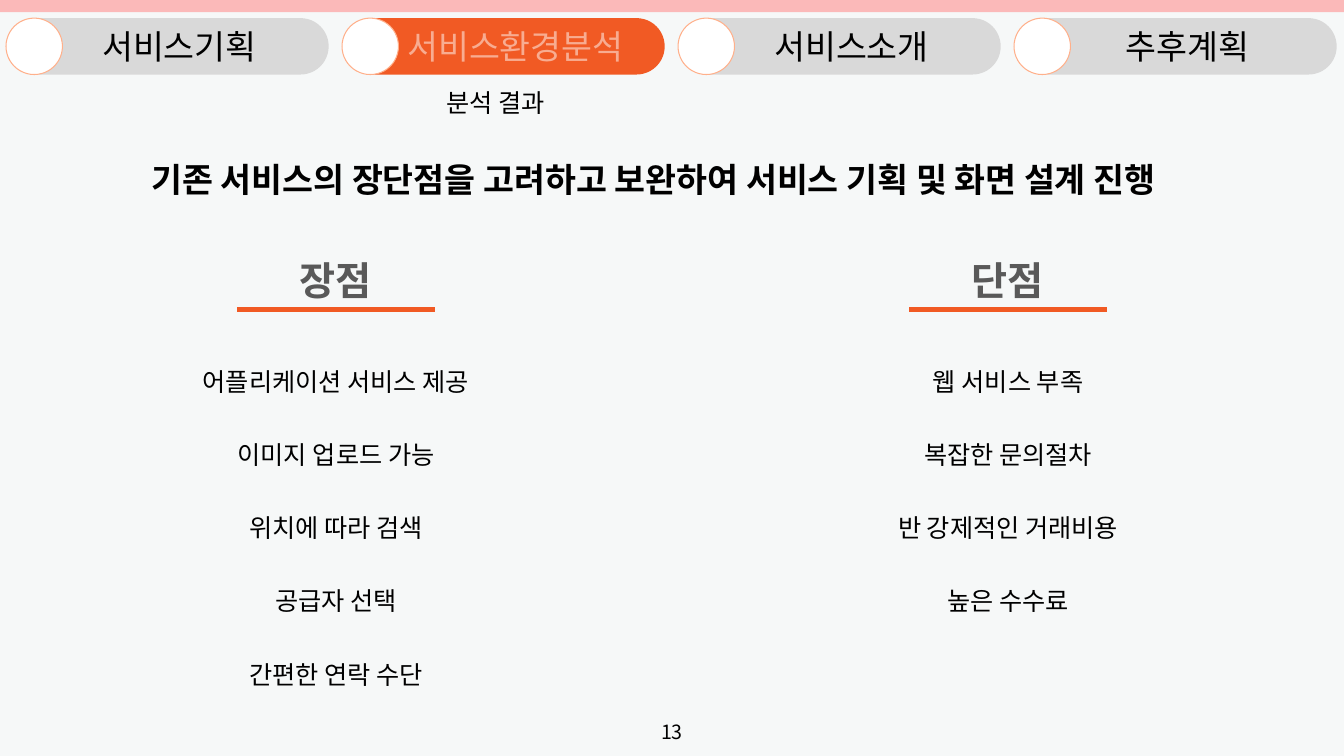
import pptx
import pptx.util
import pptx.dml.color
import pptx.enum.shapes
import pptx.enum.text
import lxml.etree

Inches, Pt = pptx.util.Inches, pptx.util.Pt
SHAPE = pptx.enum.shapes.MSO_SHAPE
ALIGN = pptx.enum.text.PP_ALIGN
ANCHOR = pptx.enum.text.MSO_ANCHOR
FONT = "Noto Sans CJK KR"
NS = "{http://schemas.openxmlformats.org/drawingml/2006/main}"
W, H = 13.33, 7.5
COL = W / 4


def rgb(code):
    return pptx.dml.color.RGBColor.from_string(code)


def write(shape, lines, size, color="000000", bold=False, align=ALIGN.CENTER,
          anchor=ANCHOR.TOP, space=1.0):
    """Fill a shape with unbulleted paragraphs in one style."""
    frame = shape.text_frame
    frame.text = "\n".join(lines)
    frame.word_wrap = True
    frame.auto_size = pptx.enum.text.MSO_AUTO_SIZE.NONE
    frame.vertical_anchor = anchor
    for para in frame.paragraphs:
        para.alignment = align
        para.line_spacing = space
        para.space_before = Pt(0)
        font = para.font
        font.name, font.size, font.bold = FONT, Pt(size), bold
        font.color.rgb = rgb(color)
        props = para._p.get_or_add_pPr()
        props.set("marL", "0")
        props.set("indent", "0")
        base = props.find(NS + "defRPr")
        base.addprevious(lxml.etree.Element(NS + "buNone"))
        lxml.etree.SubElement(base, NS + "ea", typeface=FONT)
    return frame


deck = pptx.Presentation()
deck.slide_width, deck.slide_height = Inches(W), Inches(H)
slide = deck.slides.add_slide(deck.slide_layouts.get_by_name("Comparison"))
slide.background.fill.solid()
slide.background.fill.fore_color.rgb = rgb("F6F8F8")
shapes = slide.shapes

# Top band
band = shapes.add_shape(SHAPE.RECTANGLE, 0, 0, Inches(W), Inches(0.12))
band.shadow.inherit = False
band.fill.solid()
band.fill.fore_color.rgb = rgb("FBB9B9")
band.line.fill.background()

# Section tabs: a pill with a round knob at its left end
tabs = ["서비스기획", "서비스환경분석", "서비스소개", "추후계획"]
active = 1
for i, name in enumerate(tabs):
    left = 0.11 + i * COL
    on = i == active
    pill, knob = [
        shapes.add_shape(SHAPE.ROUNDED_RECTANGLE, Inches(x), Inches(0.18),
                         Inches(wide), Inches(0.56))
        for x, wide in ((left, 3.15), (left - 0.05, 0.56))]
    for part, fill in ((pill, "F15A24" if on else "D9D9D9"), (knob, "FFFFFF")):
        part.adjustments[0] = 0.5
        part.shadow.inherit = False
        part.fill.solid()
        part.fill.fore_color.rgb = rgb(fill)
    pill.line.fill.background()
    knob.line.color.rgb = rgb("FFB08B")
    knob.line.width = Pt(0.75)
    frame = write(pill, [name], 24, "FFFFFF" if on else "000000",
                  anchor=ANCHOR.MIDDLE)
    frame.margin_left, frame.margin_right = Inches(0.19), 0
    frame.margin_top = frame.margin_bottom = 0
    if on:
        tint = next(frame.paragraphs[0]._p.iter(NS + "srgbClr"))
        lxml.etree.SubElement(tint, NS + "alpha", val="50000")

# Subtitle, headline and page number
sub = shapes.add_textbox(Inches(4.33), Inches(0.82), Inches(1.9), Inches(0.4))
write(sub, ["분석 결과"], 18, align=ALIGN.LEFT)

head = shapes.title
head.left, head.top = Inches(1.4), Inches(1.53)
head.width, head.height = Inches(10.53), Inches(0.5)
write(head, ["기존 서비스의 장단점을 고려하고 보완하여 서비스 기획 및 화면 설계 진행"],
      24, bold=True, align=ALIGN.LEFT)

page = shapes.add_textbox(Inches(W / 2 - 0.27), Inches(7.06),
                          Inches(0.54), Inches(0.4))
write(page, ["13"], 14, anchor=ANCHOR.MIDDLE)

# Two columns: heading, rule and list, centred on the quarters of the slide
sides = [
    ("장점", ["어플리케이션 서비스 제공", "이미지 업로드 가능", "위치에 따라 검색",
            "공급자 선택", "간편한 연락 수단"]),
    ("단점", ["웹 서비스 부족", "복잡한 문의절차", "반 강제적인 거래비용",
            "높은 수수료"]),
]
PITCH = 0.725
holders = {p.placeholder_format.idx: p for p in slide.placeholders}
for i, (label, items) in enumerate(sides):
    mid = (1 + 2 * i) * COL
    title, body = holders[1 + 2 * i], holders[2 + 2 * i]
    for box, top, wide, high in ((title, 2.26, 2.4, 0.72),
                                 (body, 3.21, 4, PITCH * len(items))):
        box.left, box.top = Inches(mid - wide / 2), Inches(top)
        box.width, box.height = Inches(wide), Inches(high)
    write(title, [label], 28, "595959", bold=True, space=1.5)
    frame = write(body, items, 18, space=Pt(PITCH * 72))
    frame.margin_top = frame.margin_bottom = 0

    rule = shapes.add_connector(pptx.enum.shapes.MSO_CONNECTOR.STRAIGHT,
                                Inches(mid - 0.98), Inches(3.07),
                                Inches(mid + 0.98), Inches(3.07))
    rule.line.color.rgb = rgb("F15A24")
    rule.line.width = Pt(3)
    lxml.etree.SubElement(rule._element.spPr, NS + "effectLst")

deck.save("out.pptx")
